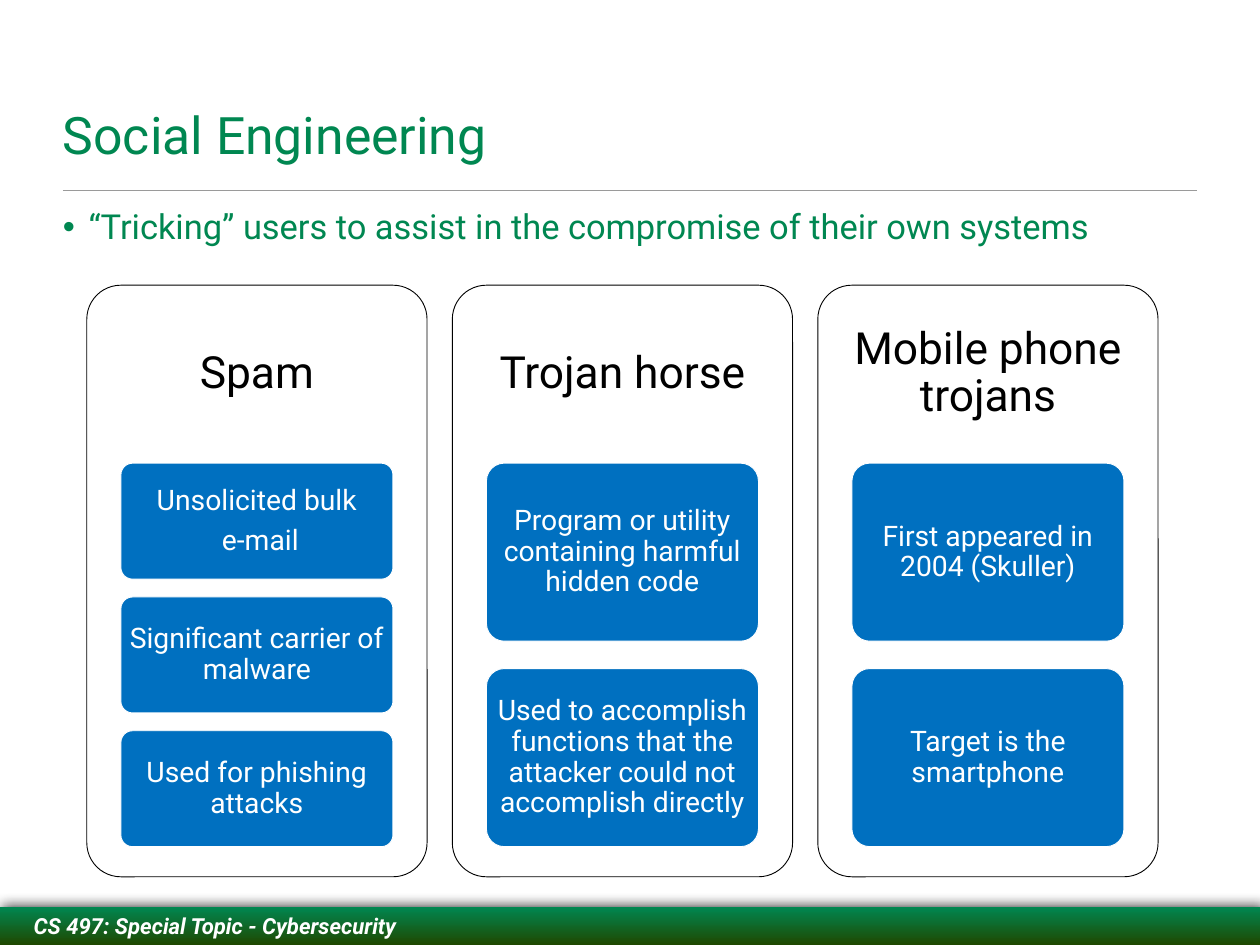
from lxml import etree
from pptx import Presentation
from pptx.dml.color import RGBColor
from pptx.enum.shapes import MSO_CONNECTOR, MSO_SHAPE
from pptx.enum.text import MSO_ANCHOR, PP_ALIGN
from pptx.oxml.ns import qn
from pptx.util import Inches, Pt

RECT, ROUNDED = MSO_SHAPE.RECTANGLE, MSO_SHAPE.ROUNDED_RECTANGLE
STRAIGHT = MSO_CONNECTOR.STRAIGHT
TOP, MIDDLE, BOTTOM = MSO_ANCHOR.TOP, MSO_ANCHOR.MIDDLE, MSO_ANCHOR.BOTTOM
LEFT, CENTER = PP_ALIGN.LEFT, PP_ALIGN.CENTER

FONT = "Roboto"
COLORS = {
    "green": "008751",
    "dark_green": "1F4800",
    "blue": "0070C0",
    "rule": "9A9A9A",
    "black": "000000",
    "white": "FFFFFF",
}
RGB = {name: RGBColor.from_string(value) for name, value in COLORS.items()}

prs = Presentation()
prs.slide_width = Inches(14.22)
prs.slide_height = Inches(10.67)
s = prs.slides.add_slide(prs.slide_layouts[6])


def add_text(sp, text, size, color, align=LEFT, anchor=TOP, inset=0,
             bold=False, italic=False, line_spacing=None, space_after=0):
    """Fill a shape with text, one paragraph per line; return its text frame."""
    tf = sp.text_frame
    tf.word_wrap = True
    tf.vertical_anchor = anchor
    tf.margin_left = tf.margin_right = Inches(inset)
    tf.margin_top = tf.margin_bottom = Inches(inset)
    for i, line in enumerate(text.split("\n")):
        p = tf.paragraphs[0] if i == 0 else tf.add_paragraph()
        p.alignment = align
        p.line_spacing = line_spacing
        p.space_after = Pt(space_after)
        r = p.add_run()
        r.text = line
        r.font.name = FONT
        r.font.size = Pt(size)
        r.font.bold = bold
        r.font.italic = italic
        r.font.color.rgb = RGB[color]
    return tf


def add_box(shape_type, left, top, width, height, fill=None, line=None):
    sp = s.shapes.add_shape(shape_type, Inches(left), Inches(top),
                            Inches(width), Inches(height))
    sp.shadow.inherit = False
    if shape_type == ROUNDED:
        sp.adjustments[0] = 0.1
    if fill:
        sp.fill.solid()
        sp.fill.fore_color.rgb = RGB[fill]
    else:
        sp.fill.background()
    if line:
        sp.line.color.rgb = RGB[line]
        sp.line.width = Pt(0.75)
    else:
        sp.line.fill.background()
    return sp


# Title rule
rule = s.shapes.add_connector(STRAIGHT, Inches(0.71), Inches(2.15),
                              Inches(13.51), Inches(2.15))
rule.line.color.rgb = RGB["rule"]
rule.line.width = Pt(1)
etree.SubElement(rule._element.spPr, qn("a:effectLst"))

# Footer band
footer = add_box(RECT, 0, 10.24, 14.22, 0.43)
footer.fill.gradient()
footer.fill.gradient_angle = 270
for stop, name in zip(footer.fill.gradient_stops, ("green", "dark_green")):
    stop.color.rgb = RGB[name]
effects = footer._element.spPr.find(qn("a:effectLst"))
shadow = etree.SubElement(effects, qn("a:outerShdw"), blurRad=str(Pt(10)),
                          dist=str(Pt(2)), dir=str(315 * 60000), rotWithShape="0")
shadow_color = etree.SubElement(shadow, qn("a:srgbClr"), val=COLORS["black"])
etree.SubElement(shadow_color, qn("a:alpha"), val="75000")
tf = add_text(footer, "CS 497: Special Topic - Cybersecurity", 18, "white",
              anchor=MIDDLE, bold=True, italic=True)
tf.margin_left = Inches(0.38)

# Title and bullet
title = s.shapes.add_textbox(Inches(0.71), Inches(0.98), Inches(12.8), Inches(0.88))
add_text(title, "Social Engineering", 42, "green", anchor=BOTTOM)

body = s.shapes.add_textbox(Inches(0.71), Inches(2.32), Inches(12.8), Inches(0.74))
tf = add_text(body, "“Tricking” users to assist in the compromise of their own systems",
              28, "green")
pPr = tf.paragraphs[0]._p.get_or_add_pPr()
pPr.set("marL", str(Inches(0.29)))
pPr.set("indent", str(-Inches(0.29)))
etree.SubElement(pPr, qn("a:buFont"), typeface="Arial")
etree.SubElement(pPr, qn("a:buChar"), char="•")

# Cards, each with a heading and a stack of tiles
CARDS = [
    ("Spam", ["Unsolicited bulk\n e-mail",
              "Significant carrier of malware",
              "Used for phishing attacks"]),
    ("Trojan horse", ["Program or utility containing harmful hidden code",
                      "Used to accomplish functions that the attacker could "
                      "not accomplish directly"]),
    ("Mobile phone trojans", ["First appeared in 2004 (Skuller)",
                              "Target is the smartphone"]),
]
CARD_LEFT, CARD_TOP, CARD_W, CARD_H = 0.98, 3.22, 3.84, 6.68
CARD_PITCH = 4.125
HEADING_H = 2
TILE_W, TILE_TOP, STACK_H = 3.07, 5.23, 4.33
TILE_INSET = 0.05  # the rounded corners add to this
GAP_RATIO = 2 / 13  # gap between tiles relative to tile height

for col, (heading, tiles) in enumerate(CARDS):
    left = CARD_LEFT + col * CARD_PITCH
    add_box(ROUNDED, left, CARD_TOP, CARD_W, CARD_H, line="black")
    head = s.shapes.add_textbox(Inches(left), Inches(CARD_TOP),
                                Inches(CARD_W), Inches(HEADING_H))
    add_text(head, heading, 36, "black", align=CENTER, anchor=MIDDLE,
             inset=0.15, line_spacing=0.9)

    tile_h = STACK_H / (len(tiles) + (len(tiles) - 1) * GAP_RATIO)
    for row, text in enumerate(tiles):
        tile = add_box(ROUNDED, left + (CARD_W - TILE_W) / 2,
                       TILE_TOP + row * tile_h * (1 + GAP_RATIO),
                       TILE_W, tile_h, fill="blue", line="white")
        add_text(tile, text, 23, "white", align=CENTER, anchor=MIDDLE,
                 inset=TILE_INSET, line_spacing=0.9, space_after=8)

prs.save("out.pptx")
